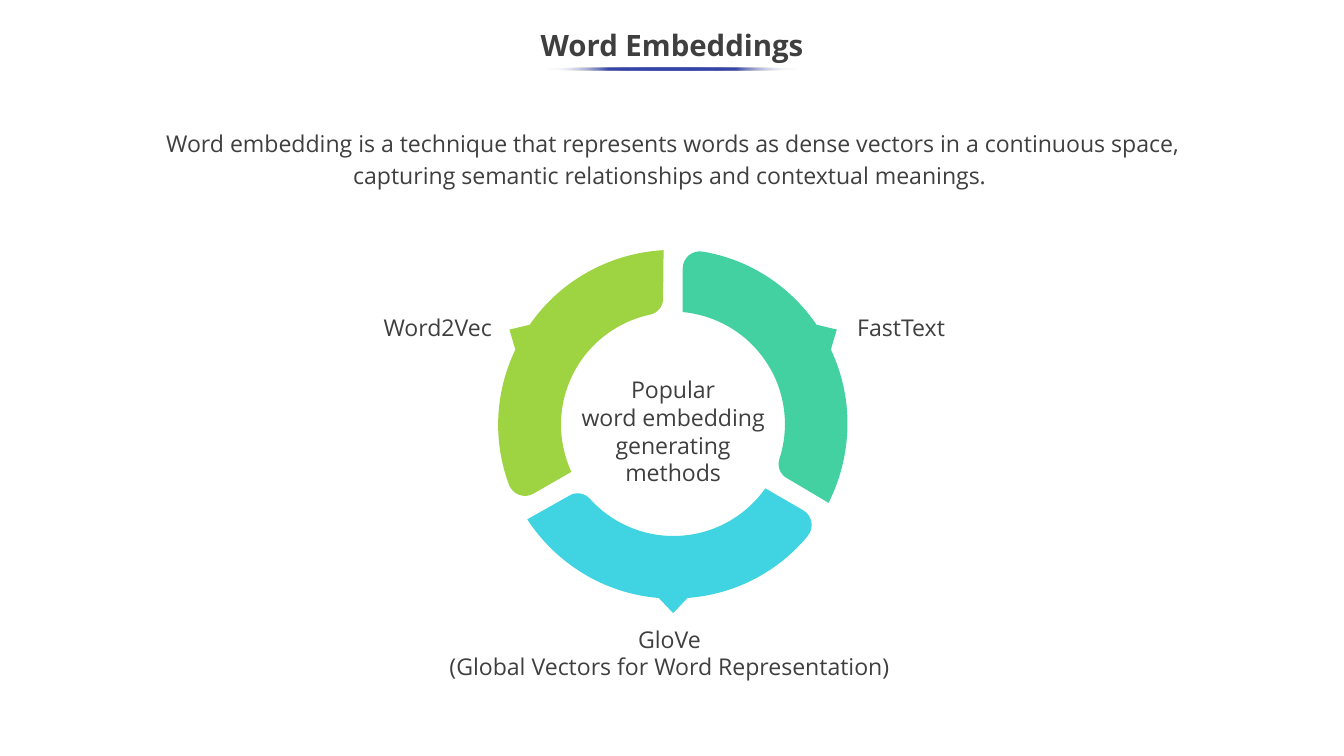
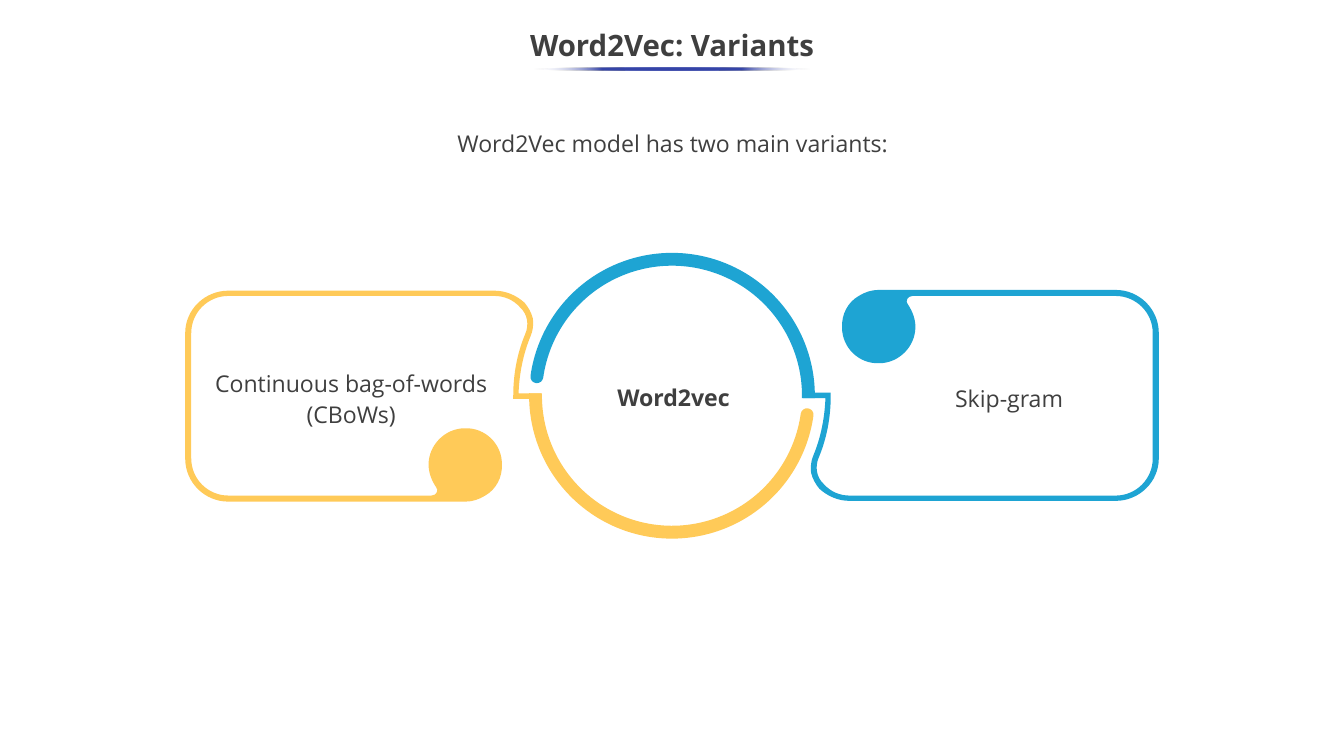
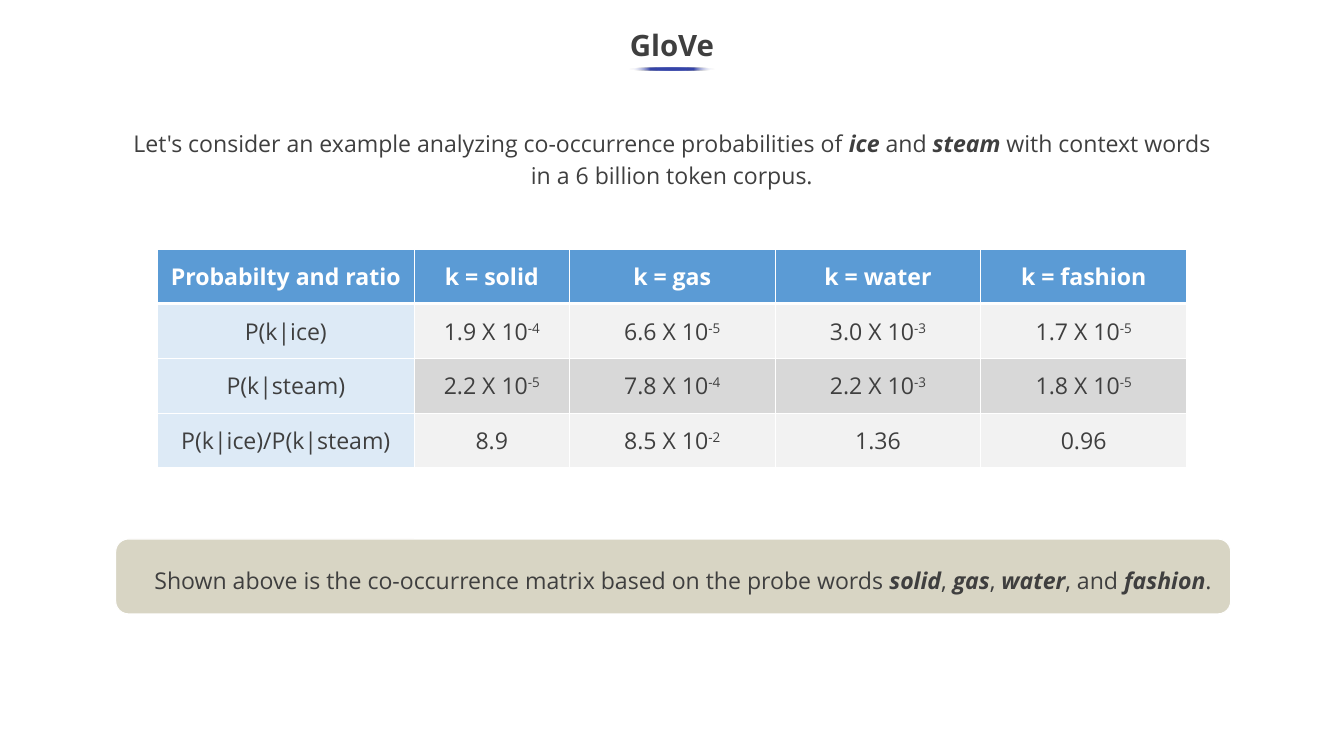
from dataclasses import dataclass
from math import cos, radians, sin, tan
from typing import NamedTuple

from lxml.etree import SubElement
from pptx import Presentation
from pptx.dml.color import RGBColor
from pptx.enum.shapes import MSO_SHAPE
from pptx.enum.text import MSO_ANCHOR, MSO_AUTO_SIZE, PP_ALIGN
from pptx.oxml.ns import qn
from pptx.util import Emu, Inches, Pt

WIDTH, HEIGHT = Inches(17.78), Inches(10)
ROW = HEIGHT / 10
Step = tuple[float, ...]


@dataclass(frozen=True)
class Theme:
    font: str = "Open Sans"
    title_size: int = 28
    text_size: int = 22
    loose: float = 1.14
    ink: str = "3F3F3F"
    white: str = "FFFFFF"
    accent: str = "3645A9"
    lime: str = "9ED342"
    mint: str = "43D1A1"
    aqua: str = "40D3E2"
    blue: str = "1EA4D3"
    amber: str = "FFCA58"
    note: str = "D8D5C4"
    header: str = "5B9BD5"
    row_label: str = "DDEAF6"
    light_row: str = "F2F2F2"
    dark_row: str = "D8D8D8"


THEME = Theme()


class Box(NamedTuple):
    left: float
    top: float
    width: float
    height: float

    def emu(self) -> tuple[Emu, ...]:
        sides = (WIDTH, HEIGHT, WIDTH, HEIGHT)
        return tuple(Emu(round(side * share / 100)) for side, share in zip(sides, self))


class Label(NamedTuple):
    text: str
    box: Box
    spacing: float = 1.0
    bold: bool = False
    anchor: MSO_ANCHOR = MSO_ANCHOR.TOP


class Centre(NamedTuple):
    x: float
    y: float


class RingPart(NamedTuple):
    turn: float
    color: str


TITLE_BOX = Box(-0.06, 2.5, 100.11, 7.5)
INTRO_BOX = Box(7.93, 16.6, 84.25, 9.9)

RING_CENTRE = Centre(89.05, 56.1)
RING_PARTS = [RingPart(120, THEME.lime), RingPart(-120, THEME.mint), RingPart(0, THEME.aqua)]
RING_OUTLINE = [
    (1.72, 1.14), (1.22, 0.85),
    (0.95, 1.23, 0.51, 1.48, 0, 1.48),
    (-0.43, 1.48, -0.83, 1.29, -1.1, 0.99),
    (-1.17, 0.91, -1.29, 0.89, -1.38, 0.95),
    (-1.93, 1.26),
    (-1.55, 1.84, -0.92, 2.24, -0.19, 2.3),
    (0, 2.5), (0.19, 2.3),
    (0.84, 2.25, 1.4, 1.94, 1.78, 1.48),
    (1.87, 1.37, 1.84, 1.21, 1.72, 1.14),
]
METHOD_LABELS = [
    Label("GloVe \n(Global Vectors for Word Representation) ", Box(30.43, 82.2, 39.2, 8.4)),
    Label("Word2Vec", Box(26.49, 41, 12.15, 4.7), anchor=MSO_ANCHOR.MIDDLE),
    Label("FastText ", Box(63.05, 40.5, 8.44, 5), THEME.loose, anchor=MSO_ANCHOR.MIDDLE),
    Label("Popular\nword embedding generating methods", Box(41.79, 49.2, 16.59, 15.8)),
]

VARIANT_CENTRE = Centre(88.9, 52.35)
OUTER_RADIUS, INNER_RADIUS = 1.89, 1.72
CARD_OUTLINE = [
    (-1.73, -0.03), (-2.03, -0.03),
    (-2.02, -0.29, -1.97, -0.55, -1.87, -0.79),
    (-1.84, -0.86, -1.83, -0.94, -1.84, -1.02),
    (-1.86, -1.1, -1.9, -1.17, -1.95, -1.23),
    (-2.06, -1.33, -2.2, -1.39, -2.35, -1.39),
    (-5.87, -1.39),
    (-6.18, -1.39, -6.44, -1.14, -6.44, -0.83),
    (-6.44, 0.83),
    (-6.44, 1.15, -6.18, 1.4, -5.87, 1.4),
    (-2.73, 1.4),
    (-2.64, 1.4, -2.55, 1.37, -2.47, 1.32),
    (-2.33, 1.24, -2.24, 1.08, -2.25, 0.9),
    (-2.25, 0.64, -2.47, 0.42, -2.74, 0.43),
    (-3, 0.43, -3.22, 0.65, -3.22, 0.91),
    (-3.22, 1.02, -3.18, 1.12, -3.12, 1.21),
    (-3.08, 1.25, -3.12, 1.32, -3.18, 1.32),
    (-5.87, 1.32),
    (-6.14, 1.32, -6.36, 1.1, -6.36, 0.83),
    (-6.36, -0.83),
    (-6.36, -1.1, -6.14, -1.32, -5.87, -1.32),
    (-2.35, -1.32),
    (-2.22, -1.32, -2.1, -1.27, -2.01, -1.17),
    (-1.91, -1.08, -1.89, -0.94, -1.94, -0.82),
    (-2.05, -0.56, -2.1, -0.28, -2.1, 0),
    (-2.1, 0.04), (-1.73, 0.04),
]
VARIANT_LABELS = [
    Label("Word2vec", Box(43.36, 49.7, 13.5, 5), THEME.loose, True),
    Label("Continuous bag-of-words (CBoWs)", Box(14.68, 47.8, 22.89, 9.5), THEME.loose),
    Label("Skip-gram", Box(64.79, 49.9, 20.58, 5.2), THEME.loose),
]

COLUMN_SHARES = [24.96, 15.07, 19.99, 19.99, 19.99]
PROBABILITIES = [
    ["Probabilty and ratio", "k = solid", "k = gas", "k = water", "k = fashion"],
    ["P(k|ice)", "1.9 X 10^-4", "6.6 X 10^-5", "3.0 X 10^-3", "1.7 X 10^-5"],
    ["P(k|steam)", "2.2 X 10^-5", "7.8 X 10^-4", "2.2 X 10^-3", "1.8 X 10^-5"],
    ["P(k|ice)/P(k|steam)", "8.9", "8.5 X 10^-2", "1.36", "0.96"],
]


def rgb(color: str) -> RGBColor:
    return RGBColor.from_string(color)


def write(frame, text: str, *, size: int = THEME.text_size, color: str = THEME.ink,
          bold: bool = False, spacing: float = 1.0, anchor=None, margin: float = 0.05) -> None:
    frame.word_wrap = True
    frame.auto_size = MSO_AUTO_SIZE.NONE
    frame.margin_left = frame.margin_right = Inches(0.1)
    frame.margin_top = frame.margin_bottom = Inches(margin)
    if anchor is not None:
        frame.vertical_anchor = anchor
    for index, line in enumerate(text.split("\n")):
        paragraph = frame.paragraphs[0] if index == 0 else frame.add_paragraph()
        properties = paragraph._p.get_or_add_pPr()
        properties.set("marL", "0")
        properties.set("indent", "0")
        SubElement(properties, qn("a:buNone"))
        paragraph.alignment = PP_ALIGN.CENTER
        paragraph.line_spacing = spacing
        paragraph.space_before = Pt(0)
        for part, words in enumerate(line.split("*")):
            emphasis = part % 2 == 1
            for raised, piece in enumerate(words.split("^")):
                if not piece:
                    continue
                run = paragraph.add_run()
                run.text = piece
                run.font.name = THEME.font
                run.font.size = Pt(size)
                run.font.color.rgb = rgb(color)
                run.font.bold = bold or emphasis
                run.font.italic = emphasis
                if raised:
                    run.font._element.set("baseline", "30000")


def place(shape, box: Box) -> None:
    shape.left, shape.top, shape.width, shape.height = box.emu()


def add_label(slide, label: Label) -> None:
    frame = slide.shapes.add_textbox(*label.box.emu()).text_frame
    write(frame, label.text, bold=label.bold, spacing=label.spacing, anchor=label.anchor)


def add_underline(slide, width: float) -> None:
    underline = slide.shapes.add_shape(MSO_SHAPE.OVAL, *Box(50 - width / 2, 8.9, width, 0.4).emu())
    underline.shadow.inherit = False
    underline.line.fill.background()
    underline.fill.gradient()
    underline.fill.gradient_angle = 180
    stops = underline._element.spPr.find(qn("a:gradFill")).find(qn("a:gsLst"))
    for stop in list(stops):
        stops.remove(stop)
    for position in (0, 25, 50, 75, 100):
        faded = position in (0, 100)
        stop = SubElement(stops, qn("a:gs"), pos=str(position * 1000))
        tint = SubElement(stop, qn("a:srgbClr"), val=THEME.white if faded else THEME.accent)
        if faded:
            SubElement(tint, qn("a:alpha"), val="0")


def add_topic(deck, title: str, intro: str, underline: float, *, intro_box: Box = INTRO_BOX,
              spacing: float = THEME.loose):
    slide = deck.slides.add_slide(deck.slide_layouts[1])
    heading, body = slide.shapes.title, slide.placeholders[1]
    place(heading, TITLE_BOX)
    write(heading.text_frame, title, size=THEME.title_size, bold=True, spacing=0.9,
          anchor=MSO_ANCHOR.MIDDLE)
    place(body, intro_box)
    write(body.text_frame, intro, spacing=spacing, anchor=MSO_ANCHOR.TOP, margin=0)
    add_underline(slide, underline)
    return slide


def arc(radius: float, start: float, end: float, pieces: int,
        middle: tuple[float, float] = (0, 0)) -> list[Step]:
    sweep = radians(end - start) / pieces
    pull = 4 / 3 * tan(sweep / 4)

    def spot(angle: float, lean: float = 0) -> tuple[float, float]:
        return (middle[0] + radius * (cos(angle) - lean * sin(angle)),
                middle[1] + radius * (sin(angle) + lean * cos(angle)))

    steps: list[Step] = [spot(radians(start))]
    for count in range(pieces):
        begin = radians(start) + count * sweep
        finish = begin + sweep
        steps.append(spot(begin, pull) + spot(finish, -pull) + spot(finish))
    return steps


def half_ring() -> list[Step]:
    start, end = 1, -172
    radius = (OUTER_RADIUS + INNER_RADIUS) / 2
    tip = (radius * cos(radians(end)), radius * sin(radians(end)))
    cap = arc((OUTER_RADIUS - INNER_RADIUS) / 2, end, end - 180, 2, tip)
    return arc(OUTER_RADIUS, start, end, 4) + cap[1:] + arc(INNER_RADIUS, end, start, 4)[1:]


def add_outline(slide, outline: list[Step], centre: Centre, turn: float, color: str) -> None:
    c, s = cos(radians(turn)), sin(radians(turn))

    def spot(x: float, y: float) -> tuple[int, int]:
        return (round((centre.x / 10 + x * c - y * s) * ROW),
                round((centre.y / 10 + x * s + y * c) * ROW))

    ends = [spot(*step[-2:]) for step in outline]
    builder = slide.shapes.build_freeform(*ends[0], scale=1.0)
    builder.add_line_segments(ends[1:], close=True)
    shape = builder.convert_to_shape()
    lines = list(shape._element.spPr.iter(qn("a:lnTo")))
    for line, step in zip(lines, outline[1:]):
        if len(step) == 6:
            line.tag = qn("a:cubicBezTo")
            for index, handle in enumerate((step[:2], step[2:4])):
                x, y = spot(*handle)
                knot = SubElement(line, qn("a:pt"), x=str(x - shape.left), y=str(y - shape.top))
                line.insert(index, knot)
    shape.shadow.inherit = False
    shape.fill.solid()
    shape.fill.fore_color.rgb = rgb(color)
    shape.line.fill.background()


def add_border(cell, side: str, points: float) -> None:
    line = SubElement(cell._tc.get_or_add_tcPr(), qn(f"a:ln{side}"), w=str(Pt(points)))
    SubElement(SubElement(line, qn("a:solidFill")), qn("a:srgbClr"), val=THEME.white)


def cell_color(row: int, column: int) -> str:
    if row == 0:
        return THEME.header
    if column == 0:
        return THEME.row_label
    return THEME.dark_row if row % 2 == 0 else THEME.light_row


def add_probabilities(slide, box: Box) -> None:
    rows, columns = len(PROBABILITIES), len(COLUMN_SHARES)
    table = slide.shapes.add_table(rows, columns, *box.emu()).table
    for column, share in zip(table.columns, COLUMN_SHARES):
        column.width = Emu(round(box.emu()[2] * share / 100))
    for row, values in enumerate(PROBABILITIES):
        for column, value in enumerate(values):
            cell = table.cell(row, column)
            header = row == 0
            for side in "LRTB":
                thick = (row, side) in ((0, "B"), (1, "T"))
                add_border(cell, side, 3 if thick else 1)
            cell.fill.solid()
            cell.fill.fore_color.rgb = rgb(cell_color(row, column))
            cell.vertical_anchor = MSO_ANCHOR.MIDDLE
            write(cell.text_frame, value, bold=header,
                  color=THEME.white if header else THEME.ink)


def add_note(slide, box: Box, label: Label) -> None:
    panel = slide.shapes.add_shape(MSO_SHAPE.ROUNDED_RECTANGLE, *box.emu())
    panel.shadow.inherit = False
    panel.adjustments[0] = 0.17
    panel.fill.solid()
    panel.fill.fore_color.rgb = rgb(THEME.note)
    panel.line.color.rgb = rgb(THEME.white)
    panel.line.width = Pt(1)
    add_label(slide, label)


def build_embeddings(deck) -> None:
    slide = add_topic(
        deck, "Word Embeddings",
        "Word embedding is a technique that represents words as dense vectors in a continuous "
        "space, capturing semantic relationships and contextual meanings. ", 18.84, spacing=1.15)
    for part in RING_PARTS:
        add_outline(slide, RING_OUTLINE, RING_CENTRE, part.turn, part.color)
    for label in METHOD_LABELS:
        add_label(slide, label)


def build_variants(deck) -> None:
    slide = add_topic(deck, "Word2Vec: Variants", "Word2Vec model has two main variants:", 20.58)
    for ring_turn, color in ((0, THEME.blue), (180, THEME.amber)):
        add_outline(slide, half_ring(), VARIANT_CENTRE, ring_turn, color)
        add_outline(slide, CARD_OUTLINE, VARIANT_CENTRE, 180 - ring_turn, color)
    for label in VARIANT_LABELS:
        add_label(slide, label)


def build_glove(deck) -> None:
    slide = add_topic(
        deck, "GloVe",
        "Let's consider an example analyzing co-occurrence probabilities of *ice* and *steam* "
        "with context words in a 6 billion token corpus.", 6.36,
        intro_box=Box(8.51, 16.6, 82.96, 9.9))
    add_probabilities(slide, Box(11.71, 32.95, 76.58, 28.95))
    add_note(slide, Box(8.61, 71.3, 82.96, 9.9), Label(
        "Shown above is the co-occurrence matrix based on the probe words "
        "*solid*, *gas*, *water*, and *fashion*.", Box(10.07, 73.9, 81.5, 5.2), THEME.loose))


def main() -> None:
    deck = Presentation()
    deck.slide_width, deck.slide_height = WIDTH, HEIGHT
    for build in (build_embeddings, build_variants, build_glove):
        build(deck)
    deck.save("out.pptx")


if __name__ == "__main__":
    main()
